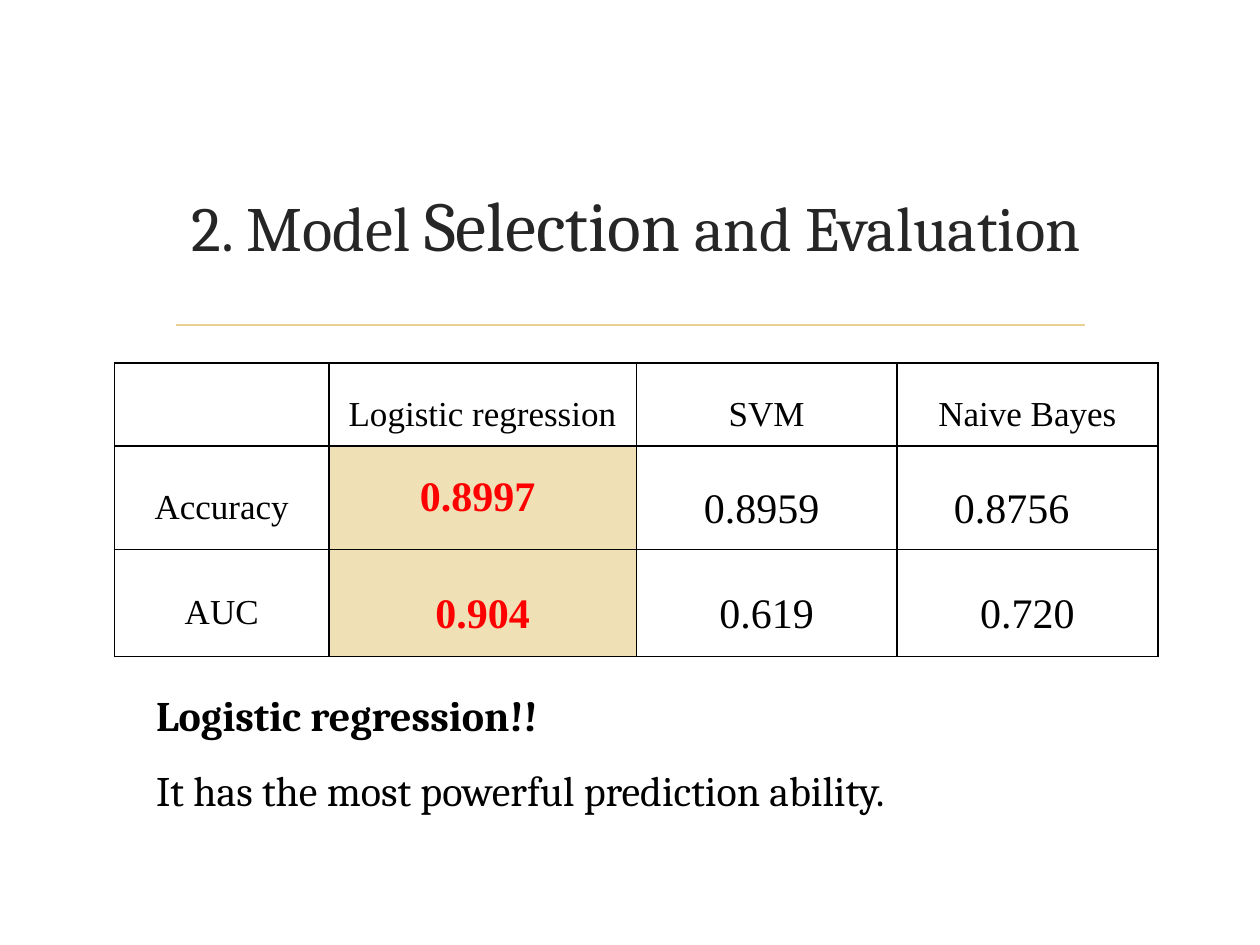
from lxml import etree
from pptx import Presentation
from pptx.dml.color import RGBColor
from pptx.enum.shapes import MSO_CONNECTOR
from pptx.enum.text import MSO_ANCHOR, MSO_AUTO_SIZE, PP_ALIGN
from pptx.oxml.ns import qn
from pptx.util import Inches, Pt

MIDDLE, TOP = MSO_ANCHOR.MIDDLE, MSO_ANCHOR.TOP
CENTER, JUSTIFY = PP_ALIGN.CENTER, PP_ALIGN.JUSTIFY

THEME = {
    "serif": "Cambria", "table_font": "Times New Roman",
    "title": "262626", "text": "000000", "best": "FF0000",
    "best_fill": "F0E0B5", "rule": "E8D191", "border": "000000",
    "title_size": 36, "title_big": 40, "label_size": 20, "value_size": 24,
}

# Content
TITLE = [("2. Model ", "title_size"), ("Selection", "title_big"),
         (" and Evaluation", "title_size")]
ROWS = [
    ["", "Logistic regression", "SVM", "Naive Bayes"],
    ["Accuracy", "0.8997", "0.8959", "0.8756"],
    ["AUC", "0.904", "0.619", "0.720"],
]
BEST_COL = 1
NOTES = [("Logistic regression!!", True),
         ("It has the most powerful prediction ability.", False)]

# Layout in inches
SLIDE_W, SLIDE_H = 10, 7.5
TITLE_BOX = (0.55, 1.15, 9, 1.25)
RULE = (1.4, 8.61, 2.58)
TABLE_LEFT, TABLE_TOP = 0.91, 2.88
COLS = [1.7, 2.44, 2.07, 2.07]
ROW_HEIGHTS = [0.66, 0.82, 0.85]
NOTES_BOX = (1.14, TABLE_TOP + sum(ROW_HEIGHTS) + 0.01, 7.24, 1.31)
PAD = 0.07
NUDGE = {(1, 1): 0.08, (1, 2): 0.08, (1, 3): 0.25}  # extra right margin
SINGLE_SPACED = {(1, 1)}


def style(r, font, size, color, bold=False):
    r.font.name, r.font.size, r.font.bold = font, Pt(size), bold
    r.font.color.rgb = RGBColor.from_string(color)


def add_text_box(s, box, anchor):
    tf = s.shapes.add_textbox(*map(Inches, box)).text_frame
    tf.word_wrap, tf.vertical_anchor = True, anchor
    return tf


def set_borders(cell, color, width):
    tcPr = cell._tc.get_or_add_tcPr()
    for i, side in enumerate(("lnL", "lnR", "lnT", "lnB")):
        ln = etree.Element(qn(f"a:{side}"), w=str(Pt(width)))
        fill = etree.SubElement(ln, qn("a:solidFill"))
        etree.SubElement(fill, qn("a:srgbClr"), val=color)
        tcPr.insert(i, ln)


def fill_cell(cell, row, col):
    is_value = row > 0 and col > 0
    best = is_value and col == BEST_COL
    cell.vertical_anchor = MIDDLE
    cell.margin_left = Inches(PAD)
    cell.margin_right = Inches(PAD + NUDGE.get((row, col), 0))
    cell.margin_top = cell.margin_bottom = 0
    if best:
        cell.fill.solid()
        cell.fill.fore_color.rgb = RGBColor.from_string(THEME["best_fill"])
    else:
        cell.fill.background()
    set_borders(cell, THEME["border"], 1)
    p = cell.text_frame.paragraphs[0]
    p.text = ROWS[row][col]
    p.alignment = CENTER
    p.line_spacing = 1.0 if (row, col) in SINGLE_SPACED else 1.5
    for r in p.runs:
        style(r, THEME["table_font"],
              THEME["value_size" if is_value else "label_size"],
              THEME["best" if best else "text"], best)


def main():
    prs = Presentation()
    prs.slide_width, prs.slide_height = Inches(SLIDE_W), Inches(SLIDE_H)
    s = prs.slides.add_slide(prs.slide_layouts[6])

    # Rule under the title
    x1, x2, y = map(Inches, RULE)
    line = s.shapes.add_connector(MSO_CONNECTOR.STRAIGHT, x1, y, x2, y)
    line.line.color.rgb = RGBColor.from_string(THEME["rule"])
    line.line.width = Pt(1.25)
    etree.SubElement(line._element.spPr, qn("a:effectLst"))

    # Title
    p = add_text_box(s, TITLE_BOX, MIDDLE).paragraphs[0]
    p.alignment = CENTER
    for text, size in TITLE:
        r = p.add_run()
        r.text = text
        style(r, THEME["serif"], THEME[size], THEME["title"])

    # Table of scores
    table = s.shapes.add_table(
        len(ROWS), len(COLS), Inches(TABLE_LEFT), Inches(TABLE_TOP),
        Inches(sum(COLS)), Inches(sum(ROW_HEIGHTS))).table
    table.first_row = table.horz_banding = False
    for column, width in zip(table.columns, COLS):
        column.width = Inches(width)
    for i, height in enumerate(ROW_HEIGHTS):
        table.rows[i].height = Inches(height)
        for j in range(len(COLS)):
            fill_cell(table.cell(i, j), i, j)

    # Conclusion
    tf = add_text_box(s, NOTES_BOX, TOP)
    tf.auto_size = MSO_AUTO_SIZE.SHAPE_TO_FIT_TEXT
    tf.text = "\n".join(text for text, _ in NOTES)
    for p, (_, bold) in zip(tf.paragraphs, NOTES):
        p.alignment, p.line_spacing = JUSTIFY, 1.5
        style(p.runs[0], THEME["serif"], THEME["value_size"], THEME["text"], bold)

    prs.save("out.pptx")


if __name__ == "__main__":
    main()
